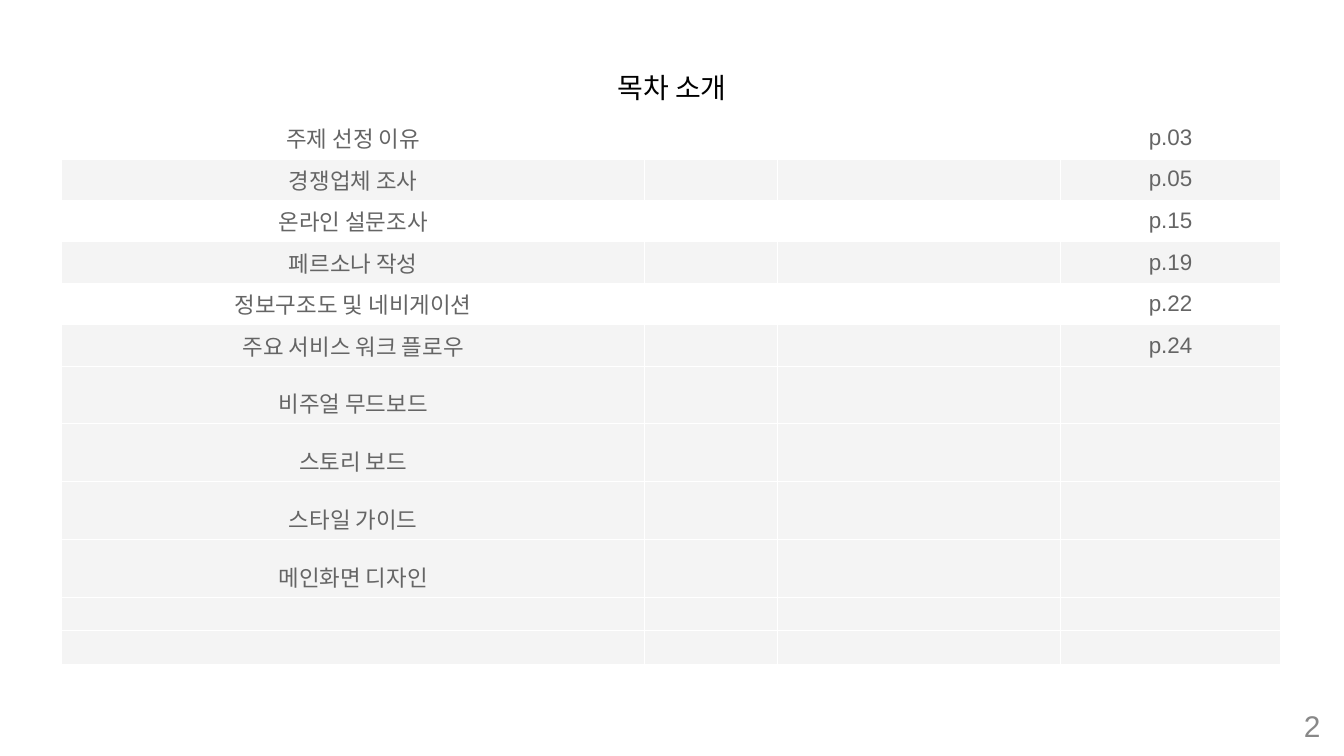
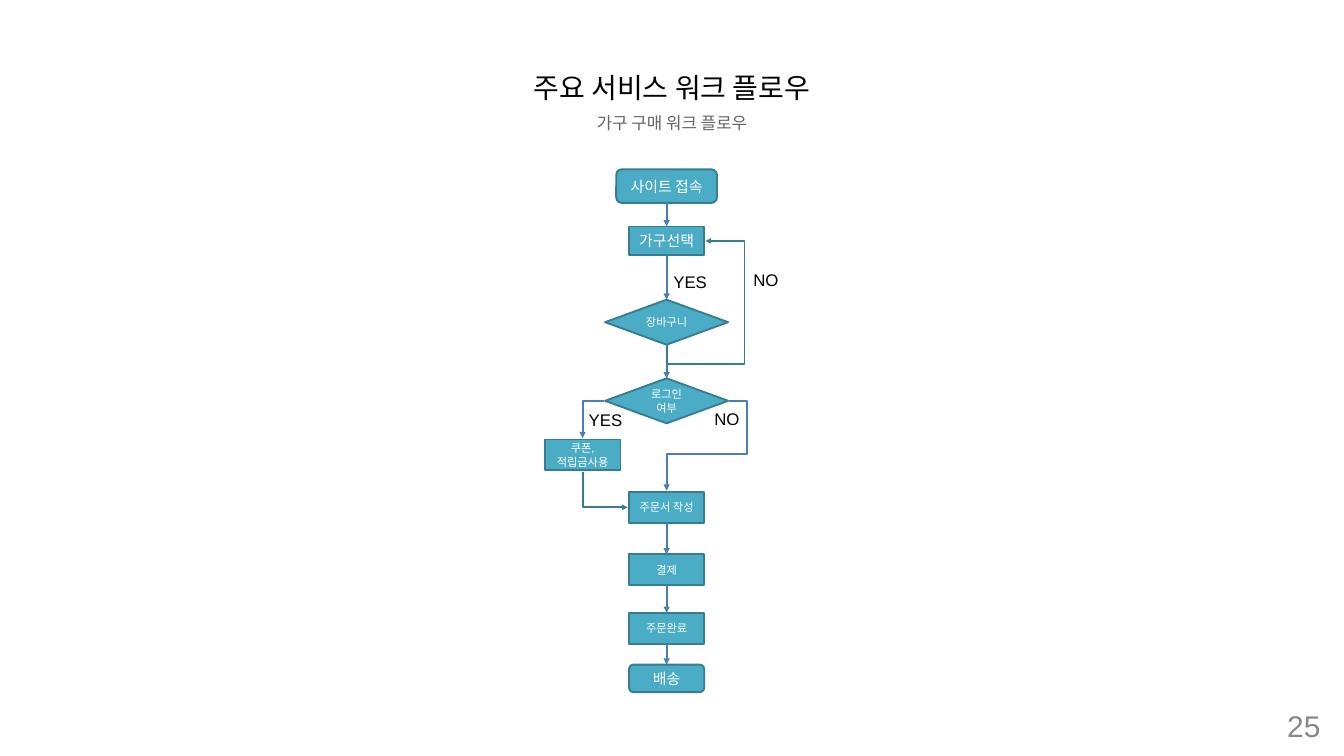
from dataclasses import dataclass

from lxml import etree
from pptx import Presentation
from pptx.dml.color import RGBColor
from pptx.enum.shapes import MSO_CONNECTOR, MSO_SHAPE
from pptx.enum.text import MSO_ANCHOR, PP_ALIGN
from pptx.oxml.ns import qn
from pptx.util import Inches, Pt

LEFT, CENTER, RIGHT = PP_ALIGN.LEFT, PP_ALIGN.CENTER, PP_ALIGN.RIGHT
TOP_ANCHOR, MIDDLE = MSO_ANCHOR.TOP, MSO_ANCHOR.MIDDLE
STRAIGHT = MSO_CONNECTOR.STRAIGHT
RECT, ROUND, DIAMOND = (MSO_SHAPE.RECTANGLE, MSO_SHAPE.ROUNDED_RECTANGLE,
                        MSO_SHAPE.DIAMOND)
TOP_SIDE, LEFT_SIDE, BOTTOM_SIDE, RIGHT_SIDE = range(4)

SLIDE_W, SLIDE_H = Inches(20), Inches(11.25)
UNIT = SLIDE_W / 100  # square grid, 100 columns wide
GAP = 0.1  # between an arrow and a box, in grid units
AXIS = 49.6  # centre column of the flow
COUPON_AXIS = 43.35


@dataclass(frozen=True)
class Theme:
    font: str = "Arial"
    black: str = "000000"
    white: str = "FFFFFF"
    text: str = "656565"
    number: str = "888888"
    band: str = "F4F4F4"
    node: str = "4BACC6"
    outline: str = "367D90"
    arrow: str = "4A7DBA"
    title_size: int = 30
    subtitle_size: int = 18
    table_size: int = 24
    number_size: int = 32
    node_size: int = 16
    small_size: int = 12


THEME = Theme()

CONTENTS = [
    ("주제 선정 이유", "p.03"),
    ("경쟁업체 조사", "p.05"),
    ("온라인 설문조사", "p.15"),
    ("페르소나 작성", "p.19"),
    ("정보구조도 및 네비게이션", "p.22"),
    ("주요 서비스 워크 플로우", "p.24"),
    ("비주얼 무드보드", ""),
    ("스토리 보드", ""),
    ("스타일 가이드", ""),
    ("메인화면 디자인", ""),
    ("", ""),
    ("", ""),
]
COLUMNS = [43.35, 9.9, 21.05, 16.4]
ROWS = [3.09] * 6 + [4.3] * 4 + [2.5] * 2


def grid(n):
    return int(n * UNIT)


def rgb(value):
    return RGBColor.from_string(value)


def write(tf, text, size, color, align):
    tf.text = text
    for p in tf.paragraphs:
        p.alignment = align
        for r in p.runs:
            r.font.name = THEME.font
            r.font.size = Pt(size)
            r.font.color.rgb = rgb(color)


def set_insets(tf, side, vertical):
    tf.margin_left = tf.margin_right = Inches(side)
    tf.margin_top = tf.margin_bottom = Inches(vertical)


def add_text(slide, text, box, size, color, align=LEFT, anchor=TOP_ANCHOR):
    tf = slide.shapes.add_textbox(*map(grid, box)).text_frame
    tf.word_wrap = True
    tf.vertical_anchor = anchor
    set_insets(tf, 0.05, 0.05)
    write(tf, text, size, color, align)


def add_page(prs, title, number):
    slide = prs.slides.add_slide(prs.slide_layouts[6])
    add_text(slide, title, (25, 5, 50, 3), THEME.title_size, THEME.black, CENTER)
    add_text(slide, number, (93.5, 52.5, 5, 3), THEME.number_size,
             THEME.number, RIGHT, MIDDLE)
    return slide


def set_border(cell, edge, width):
    ln = etree.SubElement(cell._tc.get_or_add_tcPr(), qn(f"a:ln{edge}"),
                          w=str(Pt(width)))
    fill = etree.SubElement(ln, qn("a:solidFill"))
    etree.SubElement(fill, qn("a:srgbClr"), val=THEME.white)


def style_cell(cell, row, text):
    for edge in "LRTB":
        thick = (row, edge) in ((0, "B"), (1, "T"))
        set_border(cell, edge, 3 if thick else 1)
    plain = row < 6 and row % 2 == 0
    cell.fill.solid()
    cell.fill.fore_color.rgb = rgb(THEME.white if plain else THEME.band)
    if text:
        set_insets(cell, 0.07, 0.07)
        cell.vertical_anchor = MIDDLE
        write(cell.text_frame, text, THEME.table_size, THEME.text, CENTER)
        if row >= 6:
            cell.text_frame.paragraphs[0].line_spacing = 1.5


def add_contents_table(slide):
    table = slide.shapes.add_table(len(ROWS), len(COLUMNS), grid(4.6), grid(8.7),
                                   grid(sum(COLUMNS)), grid(sum(ROWS))).table
    table.first_row = table.horz_banding = False
    for column, width in zip(table.columns, COLUMNS):
        column.width = grid(width)
    for i, (topic, page) in enumerate(CONTENTS):
        table.rows[i].height = grid(ROWS[i])
        for j, text in enumerate((topic, "", "", page)):
            style_cell(table.cell(i, j), i, text)


def add_node(slide, text, kind, top, width, height, size, axis=AXIS):
    """Flow box centred on the given axis."""
    sp = slide.shapes.add_shape(kind, grid(axis - width / 2), grid(top),
                                grid(width), grid(height))
    sp.shadow.inherit = False
    sp.fill.solid()
    sp.fill.fore_color.rgb = rgb(THEME.node)
    sp.line.color.rgb = rgb(THEME.outline)
    sp.line.width = Pt(2)
    tf = sp.text_frame
    tf.word_wrap = True
    tf.vertical_anchor = MIDDLE
    set_insets(tf, 0.12 if kind == RECT else 0.05, 0)
    write(tf, text, size, THEME.white, CENTER)
    return sp


def style_arrow(line, color, width):
    line.color.rgb = rgb(color)
    line.width = Pt(width)
    etree.SubElement(line._get_or_add_ln(), qn("a:tailEnd"), type="triangle")


def join(slide, upper, lower):
    """Straight arrow from the bottom of one box to the top of the next."""
    cxn = slide.shapes.add_connector(STRAIGHT, 0, 0, 0, 0)
    cxn.begin_connect(upper, BOTTOM_SIDE)
    cxn.end_connect(lower, TOP_SIDE)
    style_arrow(cxn.line, THEME.arrow, 2.25)
    etree.SubElement(cxn._element.spPr, qn("a:effectLst"))


def side(sp, index):
    """Grid point just outside the middle of a box's side."""
    x, y = sp.left / UNIT, sp.top / UNIT
    w, h = sp.width / UNIT, sp.height / UNIT
    return ((x + w / 2, y - GAP), (x - GAP, y + h / 2),
            (x + w / 2, y + h + GAP), (x + w + GAP, y + h / 2))[index]


def add_bent_arrow(slide, points, color, width):
    start, *rest = [(grid(x), grid(y)) for x, y in points]
    builder = slide.shapes.build_freeform(*start)
    builder.add_line_segments(rest, close=False)
    sp = builder.convert_to_shape()
    sp.shadow.inherit = False
    sp.fill.background()
    style_arrow(sp.line, color, width)


def add_order_flow(slide):
    big, small = THEME.node_size, THEME.small_size
    visit = add_node(slide, "사이트 접속", ROUND, 12.6, 7.5, 2.5, big)
    select = add_node(slide, "가구선택", RECT, 16.85, 5.6, 2.15, big)
    cart = add_node(slide, "장바구니", DIAMOND, 22.3, 9.15, 3.35, small)
    login = add_node(slide, "로그인\n여부", DIAMOND, 28.15, 9.15, 3.35, small)
    coupon = add_node(slide, "쿠폰,적립금사용", RECT, 32.7, 5.65, 2.3, small,
                      COUPON_AXIS)
    order = add_node(slide, "주문서 작성", RECT, 36.6, 5.6, 2.3, small)
    payment = add_node(slide, "결제", RECT, 41.25, 5.6, 2.3, small)
    done = add_node(slide, "주문완료", RECT, 45.6, 5.6, 2.3, small)
    delivery = add_node(slide, "배송", ROUND, 49.45, 5.6, 2.05, big)

    for upper, lower in ((visit, select), (select, cart), (cart, login),
                         (order, payment), (payment, done), (done, delivery)):
        join(slide, upper, lower)

    back, skip = 55.4, 55.6  # columns of the two detours on the right
    back_row, skip_row = 27.1, 33.75
    select_right = side(select, RIGHT_SIDE)
    login_left, login_right = side(login, LEFT_SIDE), side(login, RIGHT_SIDE)
    coupon_bottom, order_left = side(coupon, BOTTOM_SIDE), side(order, LEFT_SIDE)
    add_bent_arrow(slide, [side(cart, BOTTOM_SIDE), (AXIS, back_row),
                           (back, back_row), (back, select_right[1]),
                           select_right], THEME.outline, 2)
    add_bent_arrow(slide, [login_right, (skip, login_right[1]), (skip, skip_row),
                           (AXIS, skip_row), side(order, TOP_SIDE)],
                   THEME.arrow, 2.25)
    add_bent_arrow(slide, [login_left, (COUPON_AXIS, login_left[1]),
                           side(coupon, TOP_SIDE)], THEME.arrow, 2.25)
    add_bent_arrow(slide, [coupon_bottom, (COUPON_AXIS, order_left[1]),
                           order_left], THEME.outline, 2)

    for answer, left, top in (("YES", 49.85, 20), ("NO", 55.8, 19.85),
                              ("YES", 43.55, 30.2), ("NO", 52.9, 30.15)):
        add_text(slide, answer, (left, top, 4, 1.9), THEME.subtitle_size,
                 THEME.black)


def main():
    prs = Presentation()
    prs.slide_width, prs.slide_height = SLIDE_W, SLIDE_H

    add_contents_table(add_page(prs, "목차 소개", "2"))

    flow = add_page(prs, "주요 서비스 워크 플로우", "25")
    add_text(flow, "가구 구매 워크 플로우", (25, 8.15, 50, 2.05),
             THEME.subtitle_size, THEME.text, CENTER)
    add_order_flow(flow)

    prs.save("out.pptx")


if __name__ == "__main__":
    main()
